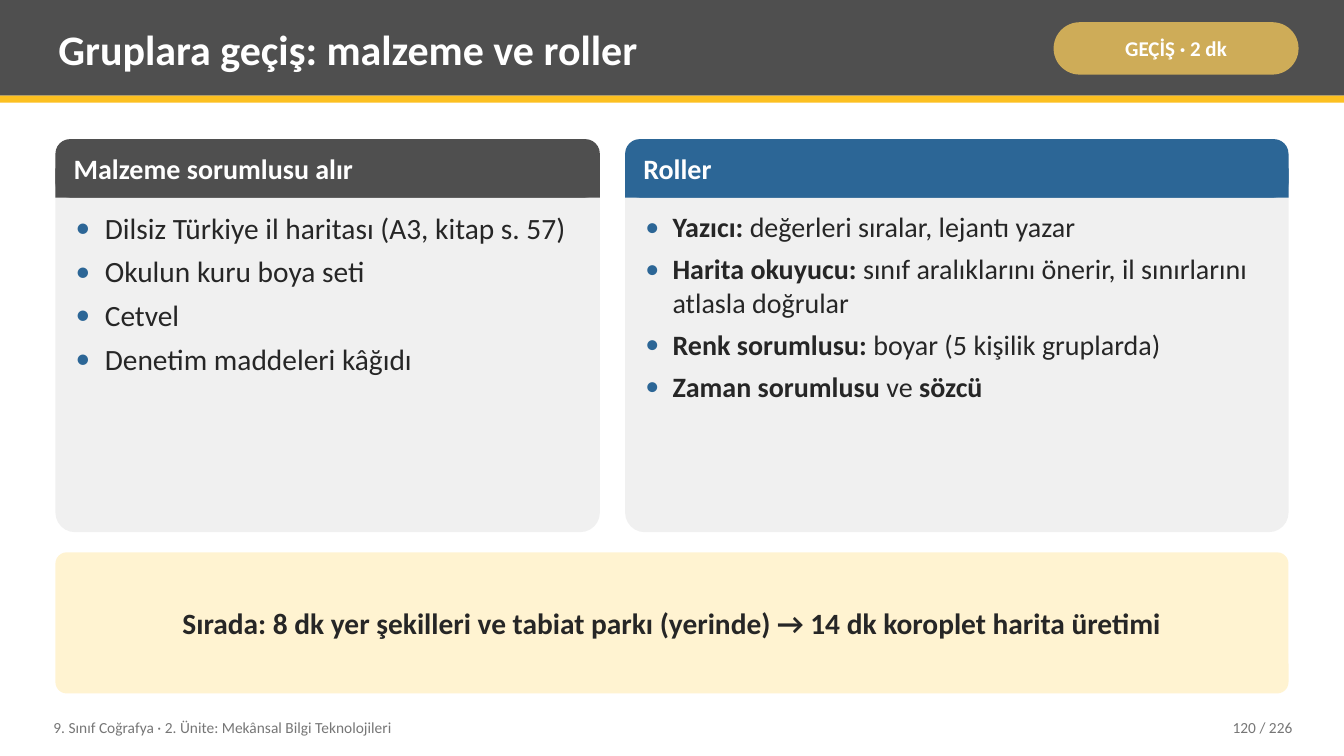
from lxml.etree import SubElement
from pptx import Presentation
from pptx.dml.color import RGBColor
from pptx.enum.shapes import MSO_SHAPE as Shape
from pptx.enum.text import MSO_ANCHOR as Anchor, MSO_AUTO_SIZE as AutoSize, PP_ALIGN as Align
from pptx.oxml.ns import qn
from pptx.util import Inches, Pt

COLORS = {
    "dark": "4F4F4F", "gold": "FCC021", "pill": "CEAC58", "blue": "2C6696",
    "panel": "F0F0F0", "cream": "FFF3D1", "ink": "262626", "grey": "767676",
    "white": "FFFFFF",
}


class Deck:
    """Holds the style and the current slide."""
    font = "Calibri"

    def __init__(self, slide):
        self.slide = slide

    def rgb(self, name):
        return RGBColor.from_string(COLORS[name])

    def box(self, at, fill, radius=None):
        kind = Shape.RECTANGLE if radius is None else Shape.ROUNDED_RECTANGLE
        block = self.slide.shapes.add_shape(kind, *map(Inches, at))
        if radius is not None:
            block.adjustments[0] = radius
        block.shadow.inherit = False
        block.fill.solid()
        block.fill.fore_color.rgb = self.rgb(fill)
        block.line.fill.background()
        return block

    def frame(self, shape, anchor=Anchor.MIDDLE, inset=(0.08, 0.04)):
        frame = shape.text_frame
        frame.word_wrap = True
        frame.auto_size = AutoSize.NONE
        frame.vertical_anchor = anchor
        frame.margin_left = frame.margin_right = Inches(inset[0])
        frame.margin_top = frame.margin_bottom = Inches(inset[1])
        return frame

    def style(self, paragraph, size, color, bold=False):
        font = paragraph.font
        font.name, font.size, font.bold = self.font, Pt(size), bold
        font.color.rgb = self.rgb(color)

    def put_text(self, shape, text, size, color, bold=False, align=Align.LEFT, **layout):
        paragraph = self.frame(shape, **layout).paragraphs[0]
        paragraph.text = text
        paragraph.alignment = align
        self.style(paragraph, size, color, bold)

    def label(self, at, *args, **kwargs):
        self.put_text(self.slide.shapes.add_textbox(*map(Inches, at)), *args, **kwargs)

    def place(self, holder, at):
        """Moves a placeholder into position, above what is already drawn."""
        holder.left, holder.top, holder.width, holder.height = map(Inches, at)
        self.slide.shapes._spTree.append(holder._element)

    def title(self, at, text, size):
        holder = self.slide.shapes.title
        self.place(holder, at)
        self.put_text(holder, text, size, "white", bold=True)

    def bullet(self, paragraph, indent):
        props = paragraph._p.get_or_add_pPr()
        props.set("marL", str(Inches(indent)))
        props.set("indent", str(-Inches(indent)))
        color = SubElement(props, qn("a:buClr"))
        SubElement(color, qn("a:srgbClr"), val=COLORS["blue"])
        SubElement(props, qn("a:buFont"), typeface=self.font)
        SubElement(props, qn("a:buChar"), char="•")

    def bullets(self, holder, at, items, size, indent):
        """Each item is a list of parts, a bold one being marked with *."""
        self.place(holder, at)
        frame = self.frame(holder, Anchor.TOP)
        for i, parts in enumerate(items):
            paragraph = frame.paragraphs[0] if i == 0 else frame.add_paragraph()
            self.bullet(paragraph, indent)
            paragraph.space_before = Pt(0)
            paragraph.space_after = Pt(6 if i < len(items) - 1 else 0)
            self.style(paragraph, size, "ink")
            for part in parts:
                run = paragraph.add_run()
                run.text = part.lstrip("*")
                if part.startswith("*"):
                    run.font.bold = True

    def card(self, left, width, heading, color, holder, items, size, indent):
        top, head = 1.38, 0.58
        self.box((left, top, width, 3.9), "panel", 0.05)
        self.box((left, top, width, head), color, 0.25)
        self.box((left, top + head / 2, width, head / 2), color)
        self.label((left + 0.1, top, width - 0.2, head), heading, 20, "white", bold=True)
        self.bullets(holder, (left + 0.12, 2.04, width - 0.24, 3.16), items, size, indent)


def main():
    prs = Presentation()
    prs.slide_width, prs.slide_height = Inches(13.33), Inches(7.5)
    slide = prs.slides.add_slide(prs.slide_layouts[3])
    deck = Deck(slide)
    materials, roles = slide.placeholders[1], slide.placeholders[2]

    # Header band
    deck.box((0, 0, 13.33, 0.95), "dark")
    deck.box((0, 0.95, 13.33, 0.07), "gold")
    deck.title((0.5, 0.07, 9.75, 0.82), "Gruplara geçiş: malzeme ve roller", 30)
    duration = deck.box((10.45, 0.22, 2.43, 0.52), "pill", 0.5)
    deck.put_text(duration, "GEÇİŞ · 2 dk", 15, "white", bold=True,
                  align=Align.CENTER, inset=(0.05, 0.02))

    # Materials and roles
    deck.card(0.55, 5.4, "Malzeme sorumlusu alır", "dark", materials, [
        ["Dilsiz Türkiye il haritası (A3, kitap s. 57)"],
        ["Okulun kuru boya seti"],
        ["Cetvel"],
        ["Denetim maddeleri kâğıdı"],
    ], size=21, indent=0.29)
    deck.card(6.2, 6.58, "Roller", "blue", roles, [
        ["*Yazıcı:", " değerleri sıralar, lejantı yazar"],
        ["*Harita okuyucu:", " sınıf aralıklarını önerir, il sınırlarını atlasla doğrular"],
        ["*Renk sorumlusu:", " boyar (5 kişilik gruplarda)"],
        ["*Zaman sorumlusu", " ve ", "*sözcü"],
    ], size=20, indent=0.27)

    # What comes next
    upcoming = deck.box((0.55, 5.48, 12.23, 1.4), "cream", 0.08)
    deck.put_text(upcoming,
                  "Sırada: 8 dk yer şekilleri ve tabiat parkı (yerinde) → 14 dk koroplet harita üretimi",
                  21, "ink", bold=True, align=Align.CENTER, inset=(0.14, 0.08))

    # Footer
    deck.label((0.45, 7.04, 7.6, 0.36),
               "9. Sınıf Coğrafya · 2. Ünite: Mekânsal Bilgi Teknolojileri", 11, "grey")
    deck.label((11.3, 7.04, 1.6, 0.36), "120 / 226", 11, "grey", align=Align.RIGHT)

    prs.save("out.pptx")


if __name__ == "__main__":
    main()
